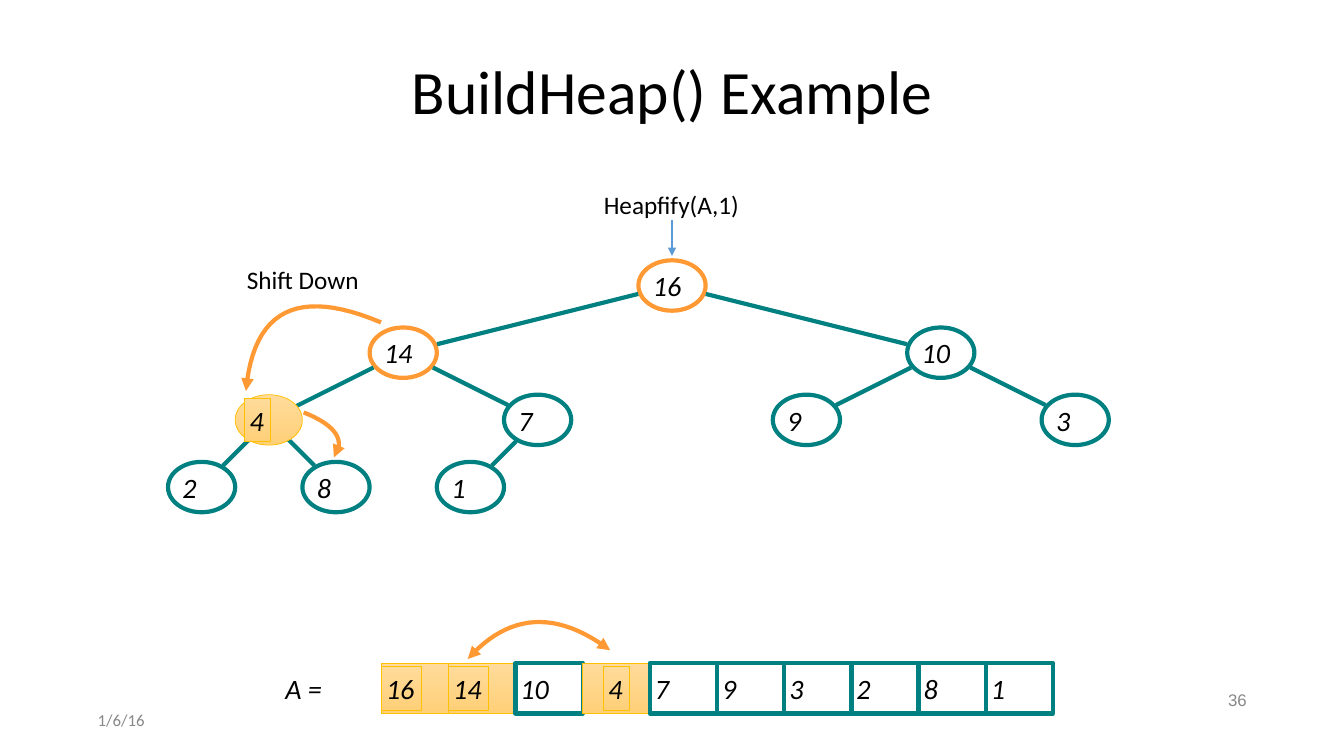
"""Builds a slide showing one shift-down step of BuildHeap() as a tree and an array."""
import math

import pptx
import pptx.dml.color
import pptx.enum.shapes
import pptx.enum.text
import pptx.oxml
import pptx.oxml.ns
import pptx.util

RGB = pptx.dml.color.RGBColor
SHAPE = pptx.enum.shapes.MSO_SHAPE
ALIGN = pptx.enum.text.PP_ALIGN
ANCHOR = pptx.enum.text.MSO_ANCHOR
FIT = pptx.enum.text.MSO_AUTO_SIZE

BLACK = RGB(0, 0, 0)
WHITE = RGB(255, 255, 255)
GREY = RGB(0x88, 0x88, 0x88)
TEAL = RGB(0x00, 0x80, 0x80)
ORANGE = RGB(0xFF, 0x99, 0x33)
BLUE = RGB(0x5B, 0x9B, 0xD5)
GOLD = RGB(0xFF, 0xC0, 0x00)
GOLD_TOP = RGB(0xFF, 0xDB, 0x9B)
GOLD_BOTTOM = RGB(0xFF, 0xD0, 0x78)

TITLE = "BuildHeap() Example"
HEAP = [16, 14, 10, 4, 7, 9, 3, 2, 8, 1]
CURRENT_NODE = 4
VISITED_NODES = {1, 2}
SWAPPED_CELLS = {1, 2, 4}

CAPTIONS = [
    ("Shift Down", 3.6, 3.86, 1.85),
    ("Heapfify(A,1)", 8.91, 2.75, 2.18),
]
FOOTERS = [
    ("1/6/16", 1.38, 10.5, "Calibri", ALIGN.LEFT),
    ("36", 14.13, 10.2, "Arial", ALIGN.RIGHT),
]
CURVES = [
    ([(6.96, 9.81), (7.58, 9.12), (8.28, 9.08), (9.08, 9.68)], ("headEnd", "tailEnd")),
    ([(3.66, 5.82), (3.77, 4.6), (4.44, 4.28), (5.67, 4.8)], ("headEnd",)),
    ([(4.52, 6.14), (5, 6.33), (5.15, 6.56), (4.97, 6.81)], ("tailEnd",)),
]

COLUMNS = 20
ROOT_COLUMN, ROOT_ROW = 10, 4.25
NODE_WIDTH, NODE_HEIGHT = 1, 0.75
EDGE_X, EDGE_Y = 0.53, 0.4
ARRAY_LEFT, ARRAY_TOP = 5.67, 9.87
LABEL_INDENT, LABEL_DROP, LABEL_HEIGHT = 0.14, 0.05, 0.65
CURVE_STEPS = 24

deck = pptx.Presentation()
deck.slide_width = pptx.util.Inches(13.33)
deck.slide_height = pptx.util.Inches(7.5)
UNIT = deck.slide_width / COLUMNS
page = deck.slides.add_slide(deck.slide_layouts[5])


def grid(*lengths):
    return [round(length * UNIT) for length in lengths]


def write(shape, text, size, color=BLACK, font="Calibri", italic=False,
          align=ALIGN.LEFT, anchor=ANCHOR.MIDDLE, wrap=False, fit=FIT.SHAPE_TO_FIT_TEXT):
    frame = shape.text_frame
    frame.margin_left = frame.margin_right = pptx.util.Inches(0.05)
    frame.margin_top = frame.margin_bottom = pptx.util.Inches(0.05)
    frame.word_wrap = wrap
    frame.auto_size = fit
    frame.vertical_anchor = anchor
    para = frame.paragraphs[0]
    para.alignment = align
    span = para.add_run()
    span.text = text
    span.font.size = pptx.util.Pt(size)
    span.font.name = font
    span.font.italic = italic
    span.font.color.rgb = color
    return para


def outline(shape, color, width):
    shape.line.color.rgb = color
    shape.line.width = pptx.util.Pt(width)


def add_ends(shape, ends):
    for end in ends:
        tag = pptx.oxml.ns.qn("a:" + end)
        shape.line._get_or_add_ln().makeelement(tag)
        head = pptx.oxml.parse_xml(
            f'<a:{end} {pptx.oxml.ns.nsdecls("a")} type="triangle"/>')
        shape.line._get_or_add_ln().append(head)


def add_block(kind, left, top, width, height, color=TEAL, fill=None, golden=False):
    block = page.shapes.add_shape(kind, *grid(left, top, width, height))
    block.shadow.inherit = False
    if golden:
        block.fill.gradient()
        block.fill.gradient_angle = 270
        for stop, shade in zip(block.fill.gradient_stops, (GOLD_TOP, GOLD_BOTTOM)):
            stop.color.rgb = shade
        outline(block, GOLD, 0.5)
        return block
    if fill is None:
        block.fill.background()
    else:
        block.fill.solid()
        block.fill.fore_color.rgb = fill
    outline(block, color, 3)
    return block


def add_label(value, left, top, golden=False):
    place = (left, top, 0.6 if value > 9 else 0.38, LABEL_HEIGHT)
    if golden:
        label = add_block(SHAPE.RECTANGLE, *place, golden=True)
    else:
        label = page.shapes.add_textbox(*grid(*place))
    write(label, str(value), 20, italic=True)


def add_line(start, end, color, width):
    line = page.shapes.add_connector(
        pptx.enum.shapes.MSO_CONNECTOR.STRAIGHT, *grid(*start, *end))
    line._element.spPr.append(
        pptx.oxml.parse_xml(f'<a:effectLst {pptx.oxml.ns.nsdecls("a")}/>'))
    outline(line, color, width)
    return line


def node_center(index):
    if index == 1:
        return ROOT_COLUMN, ROOT_ROW
    column, row = node_center(index // 2)
    shift = 8 >> (index.bit_length() - 1)
    return column + (shift if index % 2 else -shift), row + 1


def add_node(index):
    column, row = node_center(index)
    left, top = column - NODE_WIDTH / 2, row - NODE_HEIGHT / 2
    golden = index == CURRENT_NODE
    color = ORANGE if index in VISITED_NODES else TEAL
    add_block(SHAPE.OVAL, left, top, NODE_WIDTH, NODE_HEIGHT, color, WHITE, golden)
    add_label(HEAP[index - 1], left + LABEL_INDENT, top + LABEL_DROP, golden)


def edge_end(index, other):
    column, row = node_center(index)
    if index == CURRENT_NODE:
        return column, row
    far_column, far_row = node_center(other)
    across, down = far_column - column, far_row - row
    share = 1 / math.hypot(across / EDGE_X, down / EDGE_Y)
    return column + share * across, row + share * down


def curve_point(points, t):
    weights = ((1 - t) ** 3, 3 * t * (1 - t) ** 2, 3 * t * t * (1 - t), t ** 3)
    return grid(*(sum(w * p[axis] for w, p in zip(weights, points)) for axis in (0, 1)))


def add_curve(points, ends):
    track = [curve_point(points, step / CURVE_STEPS) for step in range(CURVE_STEPS + 1)]
    builder = page.shapes.build_freeform(*track[0])
    builder.add_line_segments(track[1:], close=False)
    curve = builder.convert_to_shape()
    curve.shadow.inherit = False
    curve.fill.background()
    outline(curve, ORANGE, 3)
    add_ends(curve, ends)


title = page.shapes.title
title.left, title.top, title.width, title.height = grid(1.38, 0.6, 17.25, 1.6)
write(title, TITLE, 44, align=ALIGN.CENTER, wrap=True, fit=FIT.NONE).line_spacing = 0.9

for text, left, top, font, align in FOOTERS:
    box = page.shapes.add_textbox(*grid(left, top, 4.5, 0.44))
    write(box, text, 12, GREY, font, align=align, wrap=True, fit=FIT.NONE)

indexes = range(1, len(HEAP) + 1)
for index in indexes:
    if index != CURRENT_NODE:
        add_node(index)
for index in indexes[1:]:
    parent = index // 2
    add_line(edge_end(parent, index), edge_end(index, parent), TEAL, 3)
add_node(CURRENT_NODE)

for index, value in zip(indexes, HEAP):
    left = ARRAY_LEFT + index - 1
    golden = index in SWAPPED_CELLS
    indent = 0.31 if index == CURRENT_NODE else 0
    add_block(SHAPE.RECTANGLE, left, ARRAY_TOP, NODE_WIDTH, NODE_HEIGHT, golden=golden)
    add_label(value, left + indent, ARRAY_TOP + LABEL_DROP, golden)
array_name = page.shapes.add_textbox(*grid(4.17, ARRAY_TOP + LABEL_DROP, 0.72, LABEL_HEIGHT))
write(array_name, "A =", 20, italic=True)

for points, ends in CURVES:
    add_curve(points, ends)
for text, left, top, width in CAPTIONS:
    box = page.shapes.add_textbox(*grid(left, top, width, 0.62))
    write(box, text, 18, anchor=ANCHOR.TOP)
add_ends(add_line((ROOT_COLUMN, 3.27), (ROOT_COLUMN, 3.81), BLUE, 1), ("tailEnd",))

deck.save("out.pptx")
